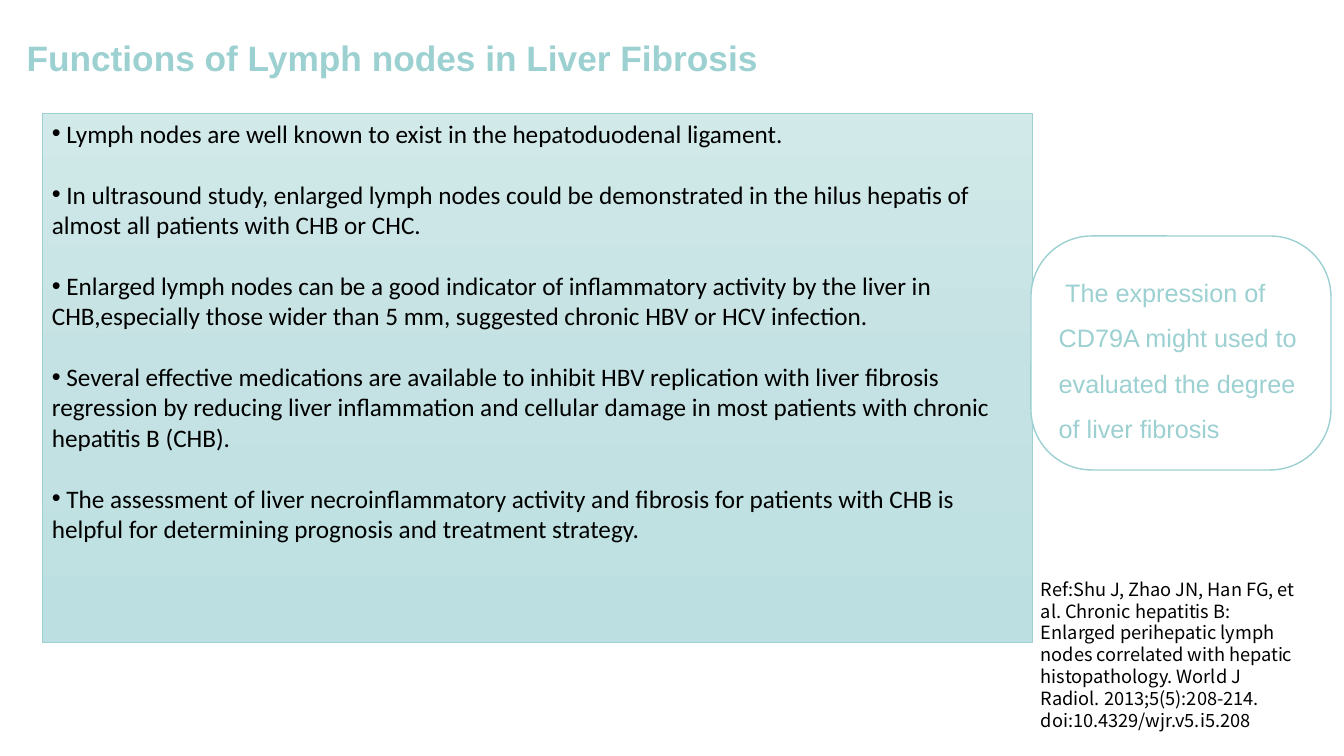
from copy import deepcopy
from dataclasses import dataclass

from lxml.etree import SubElement
from pptx import Presentation
from pptx.dml.color import RGBColor
from pptx.enum.shapes import MSO_SHAPE
from pptx.enum.text import MSO_ANCHOR, PP_ALIGN
from pptx.oxml.ns import qn
from pptx.util import Emu, Pt

TITLE = "Functions of Lymph nodes in Liver Fibrosis"
FINDINGS = [
    " Lymph nodes are well known to exist in the hepatoduodenal ligament.",
    " In ultrasound study, enlarged lymph nodes could be demonstrated in the hilus hepatis of almost all patients with CHB or CHC.",
    " Enlarged lymph nodes can be a good indicator of inflammatory activity by the liver in CHB,especially those wider than 5 mm, suggested chronic HBV or HCV infection.",
    " Several effective medications are available to inhibit HBV replication with liver fibrosis regression by reducing liver inflammation and cellular damage in most patients with chronic hepatitis B (CHB).",
    " The assessment of liver necroinflammatory activity and fibrosis for patients with CHB is helpful for determining prognosis and treatment strategy.",
]
CALLOUT = " The expression of CD79A might used to evaluated the degree of liver fibrosis"
REFERENCE = (
    "Ref:Shu J, Zhao JN, Han FG, et al. Chronic hepatitis B: Enlarged perihepatic "
    "lymph nodes correlated with hepatic histopathology. World J Radiol. "
    "2013;5(5):208-214. doi:10.4329/wjr.v5.i5.208"
)
PLACES = {
    "title": (1, 28, 783, 85),
    "findings": (42, 113, 990, 529),
    "reference": (1031, 573, 280, 164),
    "callout": (1031, 236, 300, 234),
}


@dataclass(frozen=True)
class Theme:
    accent: str = "9CD0D1"
    ink: str = "000000"
    paper: str = "FFFFFF"
    gradient: tuple = ("D1E9E9", "C4E2E3", "BCE0E1")
    heading_font: str = "Arial"
    body_font: str = "Calibri"
    reference_font: str = "Noto Sans CJK SC"
    title_size: float = 25.2
    body_size: float = 18
    reference_size: float = 13
    finding_gap: float = 22


THEME = Theme()


def px(length):
    return Emu(round(length * 914400 / 100.8))


def place(name):
    return [px(length) for length in PLACES[name]]


def add_span(para, text, font, size, color, bold=False):
    span = para.add_run()
    span.text = text
    span.font.name = font
    span.font.size = Pt(size)
    span.font.bold = bold
    span.font.color.rgb = RGBColor.from_string(color)


def add_text_box(page, name):
    box = page.shapes.add_textbox(*place(name))
    box.text_frame.word_wrap = True
    return box.text_frame


def add_panel(page, preset, name, line_width, anchor):
    panel = page.shapes.add_shape(preset, *place(name))
    panel.shadow.inherit = False
    panel.line.color.rgb = RGBColor.from_string(THEME.accent)
    panel.line.width = Pt(line_width)
    panel.text_frame.word_wrap = True
    panel.text_frame.vertical_anchor = anchor
    return panel


def fill_gradient(fill, colors):
    fill.gradient()
    fill.gradient_angle = 270
    first = fill.gradient_stops[0]._gs
    first.addnext(deepcopy(first))
    for index, (stop, color) in enumerate(zip(fill.gradient_stops, colors)):
        stop.position = index / (len(colors) - 1)
        stop.color.rgb = RGBColor.from_string(color)


def add_bullet(para):
    properties = para._p.get_or_add_pPr()
    properties.set("marL", "0")
    properties.set("indent", "0")
    SubElement(properties, qn("a:buFont"), typeface="Arial")
    SubElement(properties, qn("a:buChar"), char="•")


def add_title(page):
    frame = add_text_box(page, "title")
    frame.margin_top = px(8)
    para = frame.paragraphs[0]
    para.alignment = PP_ALIGN.CENTER
    add_span(para, TITLE, THEME.heading_font, THEME.title_size, THEME.accent, True)


def add_findings(page):
    panel = add_panel(page, MSO_SHAPE.RECTANGLE, "findings", 0.5, MSO_ANCHOR.TOP)
    fill_gradient(panel.fill, THEME.gradient)
    frame = panel.text_frame
    for index, finding in enumerate(FINDINGS):
        para = frame.add_paragraph() if index else frame.paragraphs[0]
        para.alignment = PP_ALIGN.LEFT
        if index:
            para.space_before = Pt(THEME.finding_gap)
        add_bullet(para)
        add_span(para, finding, THEME.body_font, THEME.body_size, THEME.ink)


def add_reference(page):
    para = add_text_box(page, "reference").paragraphs[0]
    add_span(para, REFERENCE, THEME.reference_font, THEME.reference_size, THEME.ink)


def add_callout(page):
    panel = add_panel(page, MSO_SHAPE.ROUNDED_RECTANGLE, "callout", 1, MSO_ANCHOR.MIDDLE)
    panel.adjustments[0] = 0.26
    panel.fill.solid()
    panel.fill.fore_color.rgb = RGBColor.from_string(THEME.paper)
    para = panel.text_frame.paragraphs[0]
    para.alignment = PP_ALIGN.LEFT
    para.line_spacing = 1.5
    add_span(para, CALLOUT, THEME.heading_font, THEME.body_size, THEME.accent)


def main():
    deck = Presentation()
    deck.slide_width, deck.slide_height = px(1344), px(756)
    page = deck.slides.add_slide(deck.slide_layouts[6])
    add_title(page)
    add_findings(page)
    add_reference(page)
    add_callout(page)
    deck.save("out.pptx")


if __name__ == "__main__":
    main()
